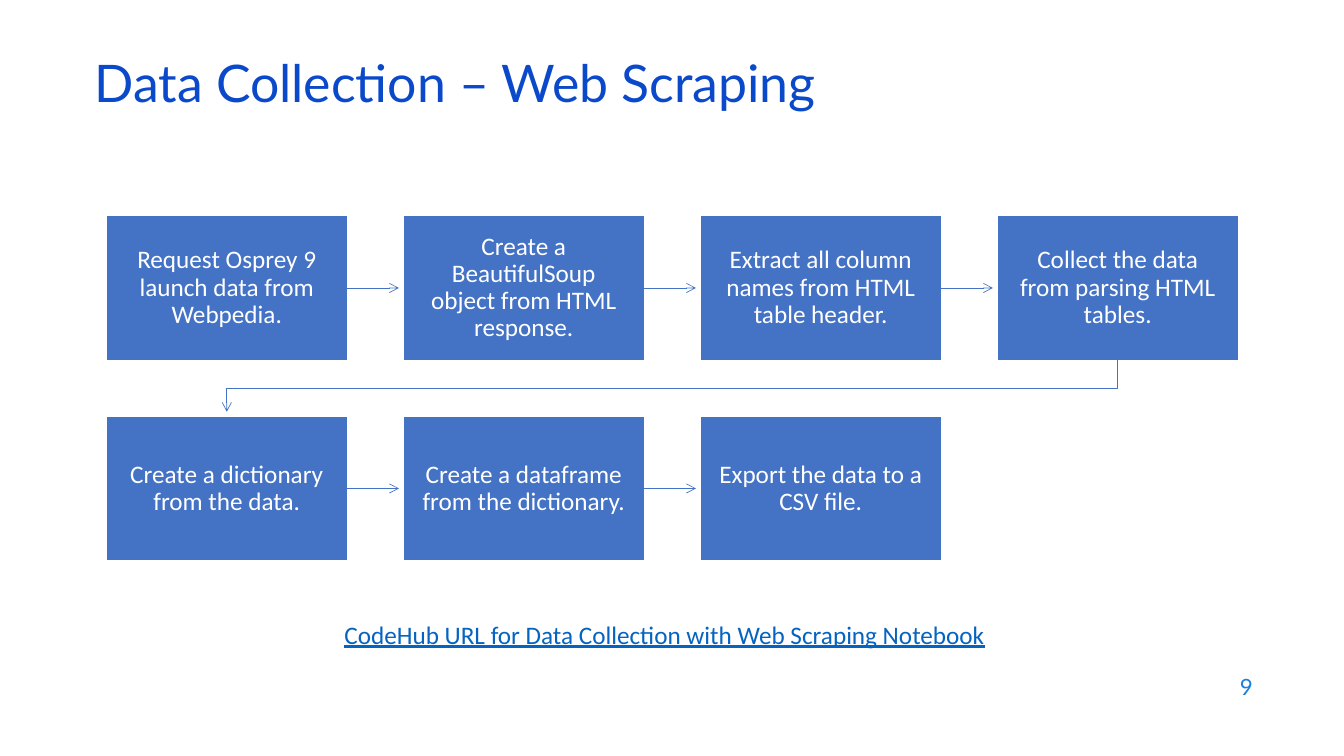
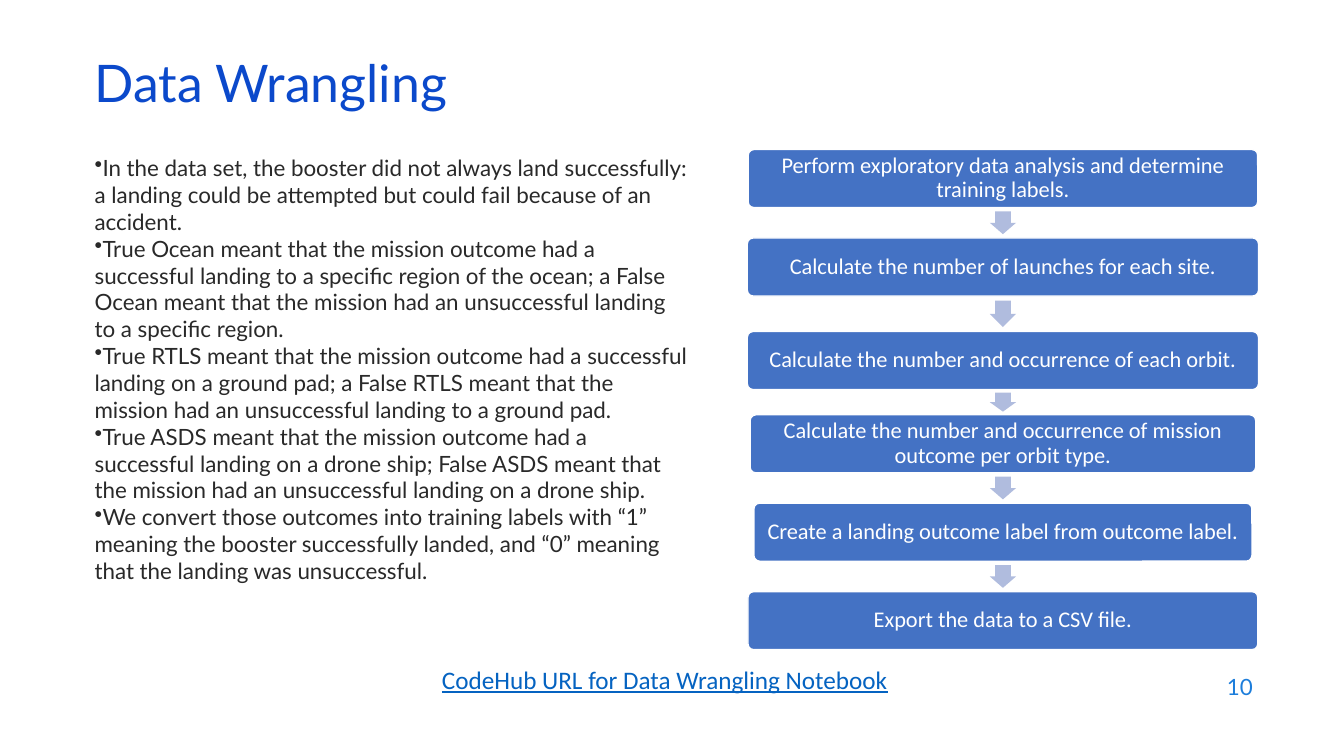
from pptx import Presentation
from pptx.dml.color import RGBColor
from pptx.enum.shapes import MSO_CONNECTOR as Connector, MSO_SHAPE as Shape
from pptx.enum.text import MSO_ANCHOR as Anchor, PP_ALIGN as Align
from pptx.oxml.ns import qn
from pptx.util import Pt
from lxml.etree import SubElement

COLORS = {
    "title": "0B49CB",
    "number": "1C7DDB",
    "link": "0563C1",
    "body": "292929",
    "step": "4472C4",
    "arrow": "B0BCDE",
    "white": "FFFFFF",
}
HEADING_FONT, STEP_FONT = "Lato", "Calibri"

SCRAPING_STEPS = [
    "Request Osprey 9 launch data from Webpedia.",
    "Create a BeautifulSoup object from HTML response.",
    "Extract all column names from HTML table header.",
    "Collect the data from parsing HTML tables.",
    "Create a dictionary from the data.",
    "Create a dataframe from the dictionary.",
    "Export the data to a CSV file.",
]
OUTCOME_NOTES = [
    "In the data set, the booster did not always land successfully: a landing "
    "could be attempted but could fail because of an accident.",
    "True Ocean meant that the mission outcome had a successful landing to a "
    "specific region of the ocean; a False Ocean meant that the mission had an "
    "unsuccessful landing to a specific region.",
    "True RTLS meant that the mission outcome had a successful landing on a "
    "ground pad; a False RTLS meant that the mission had an unsuccessful "
    "landing to a ground pad.",
    "True ASDS meant that the mission outcome had a successful landing on a "
    "drone ship; False ASDS meant that the mission had an unsuccessful landing "
    "on a drone ship.",
    "We convert those outcomes into training labels with “1” meaning the "
    "booster successfully landed, and “0” meaning that the landing was "
    "unsuccessful.",
]
# Each step: text, offset from the top of the column, width
WRANGLING_STEPS = [
    ("Perform exploratory data analysis and determine training labels.", 0, 364),
    ("Calculate the number of launches for each site.", 63.2, 365.2),
    ("Calculate the number and occurrence of each orbit.", 130, 365.2),
    ("Calculate the number and occurrence of mission outcome per orbit type.",
     189.5, 361.2),
    ("Create a landing outcome label from outcome label.", 252.6, 355.8),
    ("Export the data to a CSV file.", 315.8, 364.2),
]


def rgb(name):
    return RGBColor.from_string(COLORS[name])


def style(paragraph, font, size, color, align=Align.LEFT, spacing=1.0):
    paragraph.alignment = align
    paragraph.line_spacing = spacing
    paragraph.font.name = font
    paragraph.font.size = Pt(size)
    paragraph.font.color.rgb = rgb(color)


def add_text(slide, box, lines, anchor=Anchor.TOP):
    """Add a wrapping text box and return its paragraphs."""
    frame = slide.shapes.add_textbox(*map(Pt, box)).text_frame
    frame.word_wrap = True
    frame.vertical_anchor = anchor
    frame.text = "\n".join(lines)
    return frame.paragraphs


def add_step(slide, box, text, size, inset, kind=Shape.RECTANGLE):
    step = slide.shapes.add_shape(kind, *map(Pt, box))
    step.shadow.inherit = False
    step.fill.solid()
    step.fill.fore_color.rgb = rgb("step")
    step.line.color.rgb = rgb("white")
    step.line.width = Pt(1)
    frame = step.text_frame
    frame.word_wrap = True
    frame.vertical_anchor = Anchor.MIDDLE
    frame.margin_left = frame.margin_right = Pt(inset)
    frame.margin_top = frame.margin_bottom = Pt(inset)
    frame.text = text
    style(frame.paragraphs[0], STEP_FONT, size, "white", Align.CENTER, 0.9)
    return step


def style_arrow(line):
    line.color.rgb = rgb("step")
    line.width = Pt(0.5)
    SubElement(line._get_or_add_ln(), qn("a:tailEnd"), type="arrow")


def add_frame(deck, title, number, link, link_box):
    """Add a slide with the shared title, link and page number."""
    slide = deck.slides.add_slide(deck.slide_layouts[6])
    [number_line] = add_text(slide, (686, 474.5, 216, 31.7), [number], Anchor.MIDDLE)
    style(number_line, HEADING_FONT, 16, "number", Align.RIGHT)
    [title_line] = add_text(slide, (60.5, 42.5, 828, 43.2), [title], Anchor.MIDDLE)
    style(title_line, HEADING_FONT, 37, "title", spacing=0.7)
    [link_line] = add_text(slide, link_box, [link])
    style(link_line, STEP_FONT, 18, "link", Align.CENTER)
    link_line.font.underline = True
    return slide


def add_snake_flow(slide, box, steps, columns=4):
    """Lay steps out in rows, joined left to right and then row to row."""
    left, top, width, height = box
    step_w, step_h, tip_gap = 172.4, 103.4, 3
    pitch_x = (width - step_w) / (columns - 1)
    pitch_y = height - step_h
    for index, text in enumerate(steps):
        row, column = divmod(index, columns)
        x, y = left + column * pitch_x, top + row * pitch_y
        add_step(slide, (x, y, step_w, step_h), text, 18, 10)
        if index == len(steps) - 1:
            continue
        if column < columns - 1:
            # Straight arrow to the next step in the row
            middle = Pt(y + step_h / 2)
            arrow = slide.shapes.add_connector(
                Connector.STRAIGHT, Pt(x + step_w), middle,
                Pt(x + pitch_x - tip_gap), middle)
            SubElement(arrow._element.spPr, qn("a:effectLst"))
        else:
            # Bent arrow back to the start of the next row
            start_x, end_x = x + step_w / 2, left + step_w / 2
            bottom, next_top = y + step_h, y + pitch_y
            turn = (bottom + next_top) / 2
            bend = slide.shapes.build_freeform(Pt(start_x), Pt(bottom))
            bend.add_line_segments(
                [(Pt(start_x), Pt(turn)), (Pt(end_x), Pt(turn)),
                 (Pt(end_x), Pt(next_top - tip_gap))], close=False)
            arrow = bend.convert_to_shape()
            arrow.shadow.inherit = False
            arrow.fill.background()
        style_arrow(arrow.line)


def add_notes_list(slide, box, notes):
    for note in add_text(slide, box, notes):
        properties = note._p.get_or_add_pPr()
        properties.set("marL", "0")
        properties.set("indent", "0")
        SubElement(properties, qn("a:buChar"), char="•")
        style(note, HEADING_FONT, 16, "body")


def add_column_flow(slide, box, steps):
    """Stack centred steps, with a block arrow in each gap."""
    left, top, width, height = box
    center = left + width / 2
    step_h, arrow_w = 41.5, 18.8
    previous_bottom = None
    for text, offset, step_w in steps:
        y = top + offset
        step = add_step(slide, (center - step_w / 2, y, step_w, step_h),
                        text, 16, 6, Shape.ROUNDED_RECTANGLE)
        step.adjustments[0] = 0.1
        if previous_bottom is not None:
            gap = y - previous_bottom
            arrow = slide.shapes.add_shape(
                Shape.DOWN_ARROW, Pt(center - arrow_w / 2),
                Pt(previous_bottom + gap / 8), Pt(arrow_w), Pt(gap * 0.75))
            arrow.adjustments[0], arrow.adjustments[1] = 0.6, 0.5
            arrow.shadow.inherit = False
            arrow.fill.solid()
            arrow.fill.fore_color.rgb = rgb("arrow")
            arrow.line.fill.background()
        previous_bottom = y + step_h


def main():
    deck = Presentation()
    deck.slide_width, deck.slide_height = Pt(960), Pt(540)

    # Web scraping
    scraping = add_frame(deck, "Data Collection – Web Scraping", "9",
                         "CodeHub URL for Data Collection with Web Scraping Notebook",
                         (65.5, 438.5, 818.6, 43.2))
    add_snake_flow(scraping, (75.8, 154, 808.8, 246.6), SCRAPING_STEPS)

    # Data wrangling
    wrangling = add_frame(deck, "Data Wrangling", "10",
                          "CodeHub URL for Data Wrangling Notebook",
                          (158.4, 470.9, 632.9, 28.8))
    add_notes_list(wrangling, (60.5, 106.6, 440.6, 358.6), OUTCOME_NOTES)
    add_column_flow(wrangling, (533.8, 106.8, 365.2, 357.3), WRANGLING_STEPS)

    deck.save("out.pptx")


if __name__ == "__main__":
    main()
